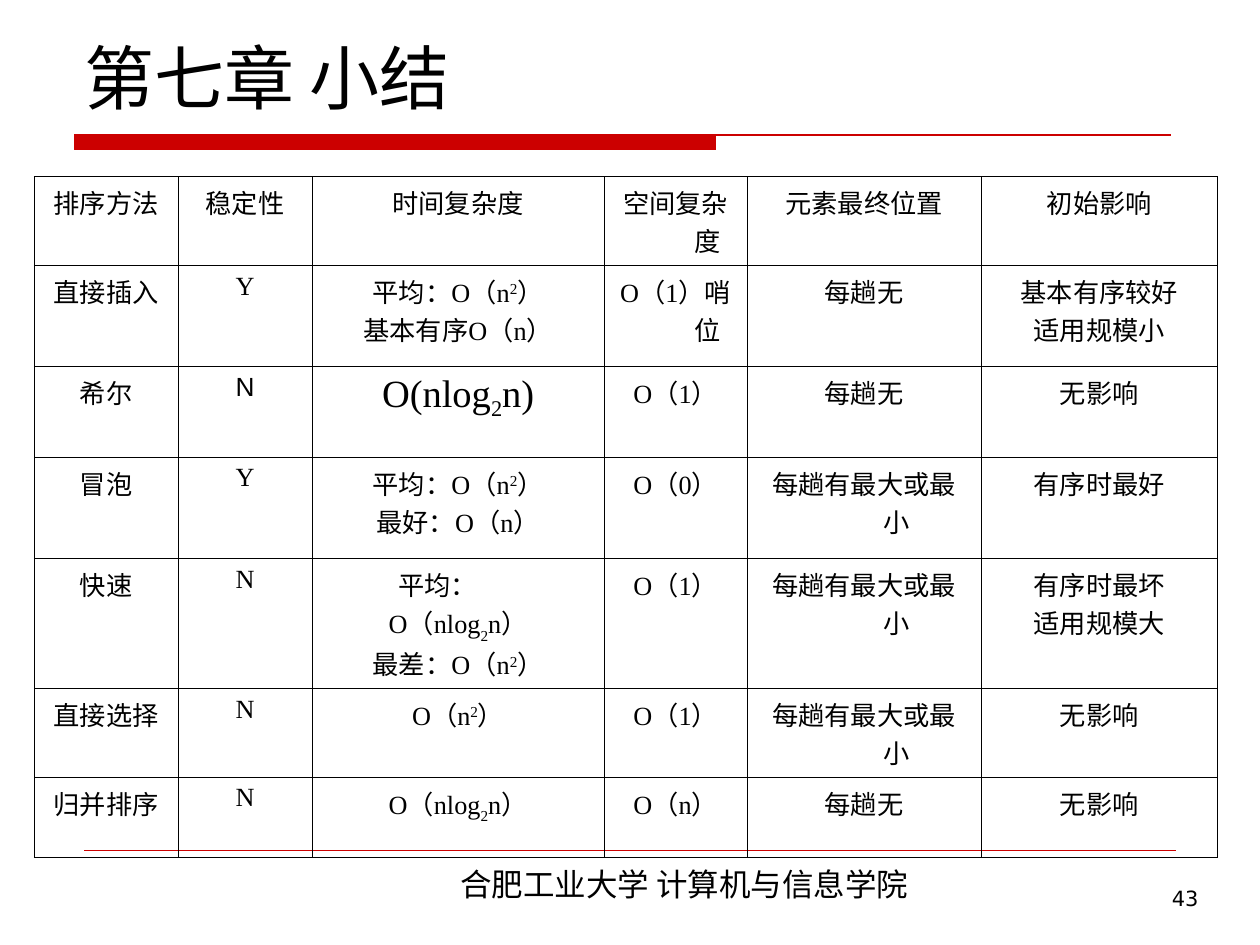
from lxml.etree import SubElement
from pptx import Presentation
from pptx.dml.color import RGBColor
from pptx.enum.shapes import MSO_CONNECTOR
from pptx.enum.text import MSO_ANCHOR, PP_ALIGN
from pptx.oxml.ns import qn
from pptx.util import Cm, Pt

HUES = {"red": "CC0000", "ink": "000000"}
HAN = "Noto Sans CJK SC"
SERIF = {"name": "Times New Roman", "size": Pt(15)}
SANS = {"name": "Arial", "size": Pt(15)}
BIG = {"name": "Times New Roman", "size": Pt(22)}
MID = {"alignment": PP_ALIGN.CENTER}
HANG = Cm(1.3)

# Each row is tall enough for its longest cell
COLS = [2.9, 2.7, 5.89, 2.88, 4.72, 4.76]
ROWS = [1.79, 2.04, 1.83, 2.04, 2.62, 1.79, 1.61]

# Bars set off scripts: |^2| is raised, |_2| and |~2| are lowered
SQUARE = "O（n|^2|）"
LOG = "O（nlog|_2|n）"
ENDS = "每趟有最大或最小"
DATA = [
    ["排序方法", "稳定性", "时间复杂度", "空间复杂度", "元素最终位置", "初始影响"],
    ["直接插入", "Y", f"平均：{SQUARE}\n基本有序O（n）", "O（1）哨位",
     "每趟无", "基本有序较好\n适用规模小"],
    ["希尔", "N", "O(nlog|~2|n)", "O（1）", "每趟无", "无影响"],
    ["冒泡", "Y", f"平均：{SQUARE}\n最好：O（n）", "O（0）", ENDS, "有序时最好"],
    ["快速", "N", f"平均：\n{LOG}\n最差：{SQUARE}", "O（1）", ENDS,
     "有序时最坏\n适用规模大"],
    ["直接选择", "N", SQUARE, "O（1）", ENDS, "无影响"],
    ["归并排序", "N", LOG, "O（n）", "每趟无", "无影响"],
]
FACES = {(2, 0): SANS, (2, 1): SANS, (2, 2): BIG}
SHIFT = {"^": "30000", "_": "-30000", "~": "-25000"}


def hue(key):
    return RGBColor.from_string(HUES[key])


def style(item, form):
    for key, val in form.items():
        setattr(item, key, val)


def write(para, text, face, form):
    """Fill a paragraph, with scripts set off by bars."""
    style(para, form)
    for part in text.split("|"):
        mark = SHIFT.get(part[0])
        run = para.add_run()
        run.text = part[1:] if mark else part
        style(run.font, face)
        run.font.color.rgb = hue("ink")
        props = run._r.get_or_add_rPr()
        SubElement(props, qn("a:ea")).set("typeface", HAN)
        if mark:
            props.set("baseline", mark)


def label(slide, box, text, face, form, anchor=MSO_ANCHOR.TOP):
    frame = slide.shapes.add_textbox(*map(Cm, box)).text_frame
    style(frame, {"word_wrap": True, "vertical_anchor": anchor})
    write(frame.paragraphs[0], text, face, form)


def banner(slide):
    """Thick bar with a thin line running on to the right."""
    left, top, base = Cm(1.5), Cm(2.72), Cm(3.02)
    mid, right = Cm(14.43), Cm(23.6)
    pen = slide.shapes.build_freeform(left, top)
    pen.add_line_segments([(mid, top), (mid, base), (left, base)])
    pen.move_to(left, top)
    pen.add_line_segments([(right, top)], close=False)
    shape = pen.convert_to_shape()
    shape.shadow.inherit = False
    shape.fill.solid()
    shape.fill.fore_color.rgb = hue("red")
    shape.line.color.rgb = hue("red")
    shape.line.width = Pt(0.75)


def rule(slide, left, right, top):
    line = slide.shapes.add_connector(
        MSO_CONNECTOR.STRAIGHT, Cm(left), Cm(top), Cm(right), Cm(top))
    line.line.color.rgb = hue("red")
    line.line.width = Pt(0.25)
    SubElement(line._element.spPr, qn("a:effectLst"))


def border(cell):
    props = cell._tc.get_or_add_tcPr()
    for side in ("lnL", "lnR", "lnT", "lnB"):
        edge = SubElement(props, qn(f"a:{side}"), w=str(Pt(0.45)))
        fill = SubElement(edge, qn("a:solidFill"))
        SubElement(fill, qn("a:srgbClr"), val=HUES["ink"])
    cell.fill.background()


def indent(para, left, first):
    props = para._p.get_or_add_pPr()
    props.set("marL", str(left))
    props.set("indent", str(first))


def grid(slide):
    frame = slide.shapes.add_table(
        len(ROWS), len(COLS), Cm(0.69), Cm(3.56), Cm(sum(COLS)), Cm(sum(ROWS)))
    table = frame.table
    style(table, {"first_row": False, "horz_banding": False})
    for col, wide in zip(table.columns, COLS):
        col.width = Cm(wide)
    for row, high in zip(table.rows, ROWS):
        row.height = Cm(high)
    for r, line in enumerate(DATA):
        for c, text in enumerate(line):
            cell = table.cell(r, c)
            border(cell)
            frame = cell.text_frame
            for i, part in enumerate(text.split("\n")):
                para = frame.add_paragraph() if i else frame.paragraphs[0]
                write(para, part, FACES.get((r, c), SERIF), MID)
                indent(para, HANG, -HANG)
    # The lone "average" heading stands left of the centre
    head = table.cell(4, 2).text_frame.paragraphs[0]
    head.alignment = PP_ALIGN.LEFT
    indent(head, Cm(1.48), 0)


def main():
    deck = Presentation()
    style(deck, {"slide_width": Cm(25.4), "slide_height": Cm(19.05)})
    slide = deck.slides.add_slide(deck.slide_layouts[6])

    # Frame of the page
    banner(slide)
    rule(slide, 1.7, 23.7, 17.15)
    label(slide, (6.1, 17.32, 15.39, 1.02), "合肥工业大学 计算机与信息学院",
          {"name": HAN, "size": Pt(18)}, {**MID, "space_before": Pt(11.2)})
    label(slide, (18.9, 17.73, 5.51, 1.32), "43",
          {"name": "DejaVu Sans", "size": Pt(12)},
          {"alignment": PP_ALIGN.RIGHT})

    # Title and summary table
    label(slide, (1.45, 0.33, 22.86, 2.18), "第七章 小结",
          {"name": "DejaVu Sans", "size": Pt(40)},
          {"alignment": PP_ALIGN.LEFT}, MSO_ANCHOR.BOTTOM)
    grid(slide)
    deck.save("out.pptx")


if __name__ == "__main__":
    main()
